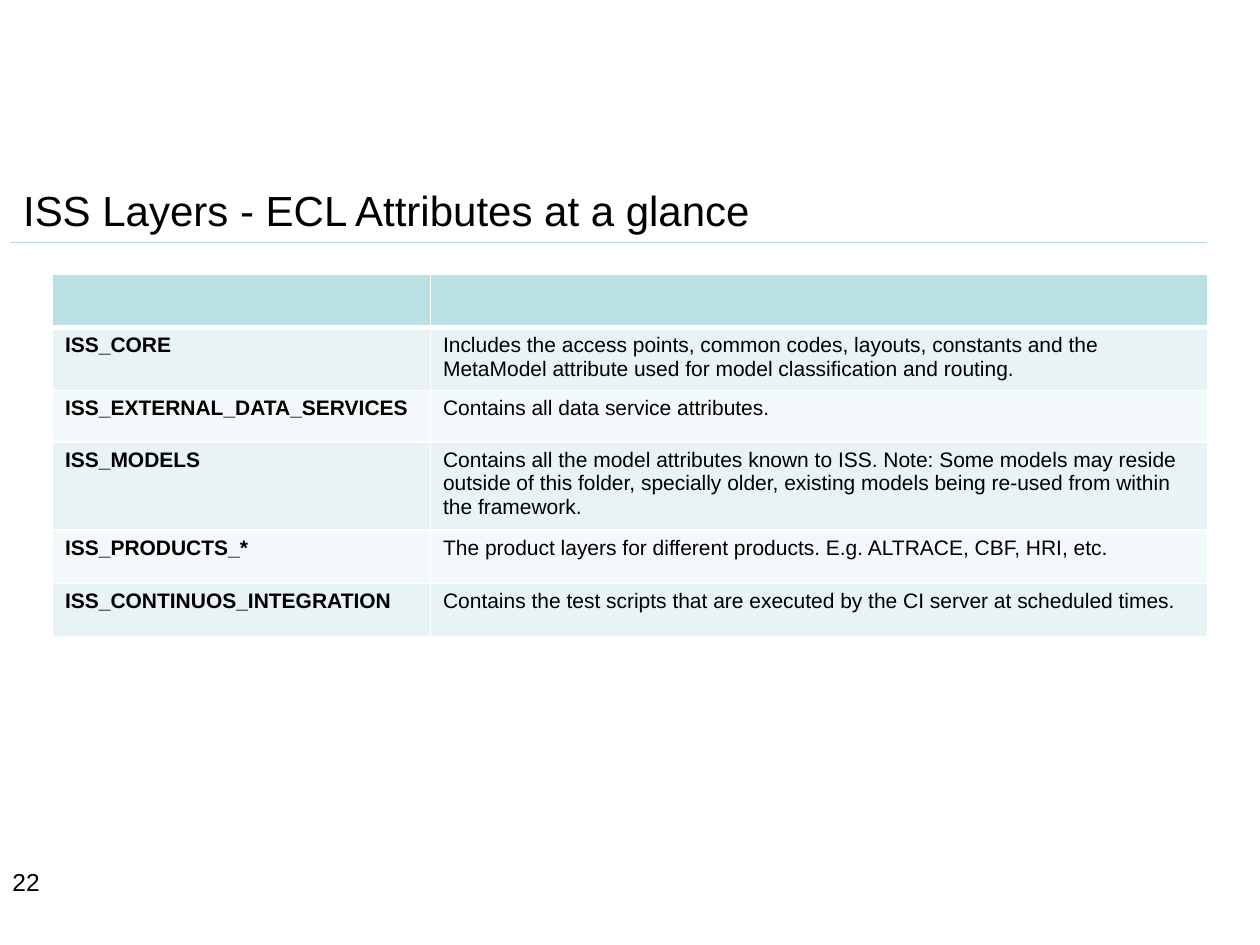
from typing import NamedTuple

from lxml.etree import SubElement
from pptx import Presentation
from pptx.dml.color import RGBColor
from pptx.enum.shapes import MSO_CONNECTOR
from pptx.enum.text import MSO_ANCHOR, PP_ALIGN
from pptx.oxml.ns import qn
from pptx.util import Pt

COLORS = {
    "text": "000000",
    "rule": "B6DCDF",
    "header": "BBE0E3",
    "odd_row": "E7F3F4",
    "even_row": "F3F9FA",
    "border": "FFFFFF",
}
FRAME_FORMAT = {
    "word_wrap": True,
    "margin_left": Pt(7.2),
    "margin_right": Pt(7.2),
    "margin_top": Pt(3.6),
    "margin_bottom": Pt(3.6),
}


class Layer(NamedTuple):
    name: str
    description: str
    height: float


HEADER_HEIGHT = 30.5
COLUMN_WIDTHS = (216, 444)
LAYERS = [
    Layer("ISS_CORE",
          "Includes the access points, common codes, layouts, constants and the "
          "MetaModel attribute used for model classification and routing.", 36),
    Layer("ISS_EXTERNAL_DATA_SERVICES", "Contains all data service attributes.", 29.5),
    Layer("ISS_MODELS",
          "Contains all the model attributes known to ISS. Note: Some models may "
          "reside outside of this folder, specially older, existing models being "
          "re-used from within the framework.", 50),
    Layer("ISS_PRODUCTS_*",
          "The product layers for different products. E.g. ALTRACE, CBF, HRI, etc.", 30.5),
    Layer("ISS_CONTINUOS_INTEGRATION",
          "Contains the test scripts that are executed by the CI server at "
          "scheduled times.", 30.5),
]


def color(key: str) -> RGBColor:
    return RGBColor.from_string(COLORS[key])


def write(frame, text: str, size: float, bold: bool = False) -> None:
    paragraph = frame.paragraphs[0]
    paragraph.alignment = PP_ALIGN.LEFT
    run = paragraph.add_run()
    run.text = text
    for attribute, value in {"name": "Arial", "size": Pt(size), "bold": bold}.items():
        setattr(run.font, attribute, value)
    run.font.color.rgb = color("text")


def format_frame(frame, anchor: MSO_ANCHOR) -> None:
    for attribute, value in {**FRAME_FORMAT, "vertical_anchor": anchor}.items():
        setattr(frame, attribute, value)


def style_cell(cell, fill: str, widths: dict[str, float]) -> None:
    properties = cell._tc.get_or_add_tcPr()
    for side, width in widths.items():
        border = SubElement(properties, qn(f"a:{side}"), w=str(Pt(width)))
        solid = SubElement(border, qn("a:solidFill"))
        SubElement(solid, qn("a:srgbClr"), val=COLORS["border"])
    cell.fill.solid()
    cell.fill.fore_color.rgb = color(fill)


def add_layer_table(slide) -> None:
    heights = [HEADER_HEIGHT, *(layer.height for layer in LAYERS)]
    table = slide.shapes.add_table(
        len(heights), len(COLUMN_WIDTHS), Pt(30), Pt(156.5),
        Pt(sum(COLUMN_WIDTHS)), Pt(sum(heights))).table
    for column, width in zip(table.columns, COLUMN_WIDTHS):
        column.width = Pt(width)
    for row, height in zip(table.rows, heights):
        row.height = Pt(height)

    # Borders and banding, with a thick line under the header
    for index, row in enumerate(table.rows):
        fill = "header" if index == 0 else "odd_row" if index % 2 else "even_row"
        widths = {"lnL": 1, "lnR": 1,
                  "lnT": 3 if index == 1 else 1,
                  "lnB": 3 if index == 0 else 1}
        for cell in row.cells:
            style_cell(cell, fill, widths)

    for index, layer in enumerate(LAYERS, start=1):
        write(table.cell(index, 0).text_frame, layer.name, 12, bold=True)
        write(table.cell(index, 1).text_frame, layer.description, 12)


def main() -> None:
    presentation = Presentation()
    presentation.slide_width, presentation.slide_height = Pt(720), Pt(540)
    slide = presentation.slides.add_slide(presentation.slide_layouts[5])

    # Title
    title = slide.shapes.title
    title.left, title.top, title.width, title.height = Pt(6), Pt(102), Pt(630), Pt(36)
    format_frame(title.text_frame, MSO_ANCHOR.BOTTOM)
    write(title.text_frame, "ISS Layers - ECL Attributes at a glance", 24)

    # Rule under the title
    rule = slide.shapes.add_connector(
        MSO_CONNECTOR.STRAIGHT, Pt(6), Pt(138.75), Pt(690), Pt(138.75))
    rule.line.color.rgb = color("rule")
    rule.line.width = Pt(0.75)
    SubElement(rule._element.spPr, qn("a:effectLst"))

    # Page number
    page_number = slide.shapes.add_textbox(Pt(0), Pt(492), Pt(168), Pt(37.5))
    format_frame(page_number.text_frame, MSO_ANCHOR.TOP)
    write(page_number.text_frame, "22", 14)

    # Layers and their contents
    add_layer_table(slide)

    presentation.save("out.pptx")


if __name__ == "__main__":
    main()
